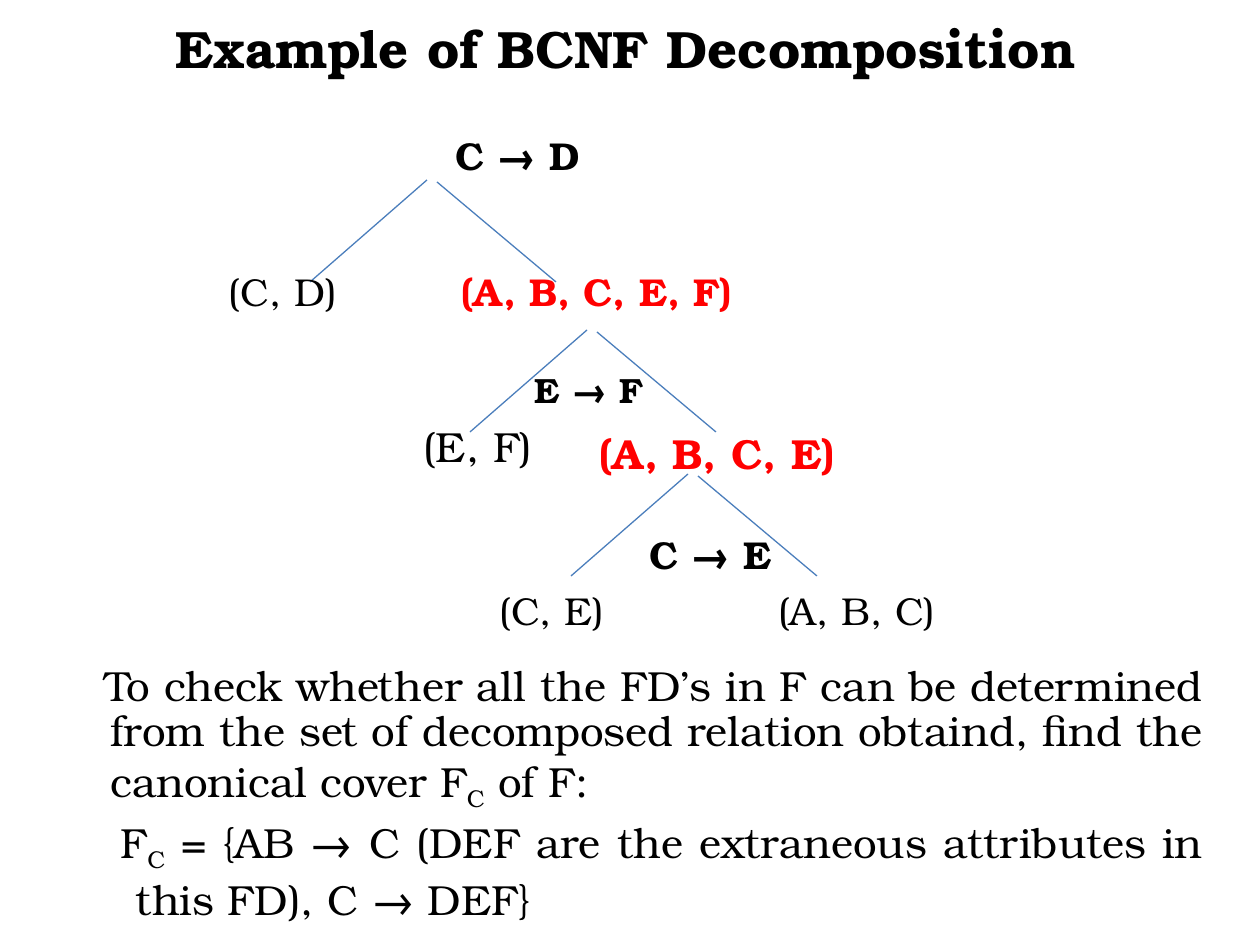
from lxml import etree
from pptx import Presentation
from pptx.dml.color import RGBColor
from pptx.enum.shapes import MSO_CONNECTOR
from pptx.enum.text import MSO_ANCHOR, PP_ALIGN
from pptx.oxml.ns import qn
from pptx.util import Emu, Pt

STRAIGHT = MSO_CONNECTOR.STRAIGHT
MIDDLE = MSO_ANCHOR.MIDDLE
CENTER, JUSTIFY = PP_ALIGN.CENTER, PP_ALIGN.JUSTIFY
FONT = "TeX Gyre Bonum"
COLORS = {"text": "000000", "violation": "FF0000", "branch": "4B7EBC"}


def px(length):
    return Emu(round(length * 914400 / 126))


def style(paragraph, size, bold=False, color="text"):
    font = paragraph.font
    font.name, font.size, font.bold = FONT, Pt(size), bold
    font.color.rgb = RGBColor.from_string(COLORS[color])


deck = Presentation()
deck.slide_width, deck.slide_height = px(1260), px(945)
page = deck.slides.add_slide(deck.slide_layouts[5])

# Title
title = page.shapes.title
title.left, title.top, title.width, title.height = px(59), px(0), px(1134), px(95)
title.text_frame.text = "Example of BCNF Decomposition"
title.text_frame.vertical_anchor = MIDDLE
title.text_frame.paragraphs[0].alignment = CENTER
style(title.text_frame.paragraphs[0], 30, True)

# Branches: each split has a left and a right line
for x, y in [(427, 180), (587, 330), (688, 474)]:
    for start_x, start_y, end_x in [(x, y, x - 117), (x + 10, y + 2, x + 129)]:
        branch = page.shapes.add_connector(
            STRAIGHT, px(start_x), px(start_y), px(end_x), px(y + 102))
        branch.line.color.rgb = RGBColor.from_string(COLORS["branch"])
        branch.line.width = Pt(0.75)
        etree.SubElement(branch._element.spPr, qn("a:effectLst"))

# Tree labels: text, centre x, centre y, width, size, bold, colour
labels = [
    ("C → D", 518, 155, 160, 22.2, True, "text"),
    ("(C, D)", 283, 291, 140, 22.2, False, "text"),
    ("(A, B, C, E, F)", 597, 291, 320, 22.2, True, "violation"),
    ("E → F", 589, 389, 140, 20, True, "text"),
    ("(E, F)", 478, 446, 140, 24, False, "text"),
    ("(A, B, C, E)", 717, 453, 280, 24, True, "violation"),
    ("C → E", 711, 554, 160, 22.2, True, "text"),
    ("(C, E)", 552, 610, 140, 22.2, False, "text"),
    ("(A, B, C)", 857, 610, 200, 22.2, False, "text"),
]
for text, center_x, center_y, width, size, bold, color in labels:
    height = 50
    box = page.shapes.add_textbox(
        px(center_x - width / 2), px(center_y - height / 2), px(width), px(height))
    frame = box.text_frame
    frame.margin_left = frame.margin_right = frame.margin_top = frame.margin_bottom = 0
    frame.word_wrap = False
    frame.vertical_anchor = MIDDLE
    frame.text = text
    frame.paragraphs[0].alignment = CENTER
    style(frame.paragraphs[0], size, bold, color)

# Canonical cover: line spacing, left margin, first-line indent, spans (text, is subscript)
statements = [
    (0.9, 37, -6, [
        ("To check whether all the FD’s in F can be determined from the set of "
         "decomposed relation obtaind, find the canonical cover F", False),
        ("C", True), (" of F:", False)]),
    (1.0, 62, -15, [
        ("F", False), ("C", True),
        (" = {AB → C (DEF are the extraneous attributes in this FD), C → DEF}", False)]),
]
box = page.shapes.add_textbox(px(61), px(659), px(1154), px(255))
frame = box.text_frame
frame.word_wrap = True
for index, (spacing, margin, indent, spans) in enumerate(statements):
    para = frame.add_paragraph() if index else frame.paragraphs[0]
    para.alignment = JUSTIFY
    para.line_spacing = spacing
    para.space_before = Pt(5)
    style(para, 24)
    properties = para._p.get_or_add_pPr()
    properties.set("marL", str(px(margin)))
    properties.set("indent", str(px(indent)))
    for text, subscript in spans:
        span = para.add_run()
        span.text = text
        if subscript:
            span.font._element.set("baseline", "-25000")

deck.save("out.pptx")
